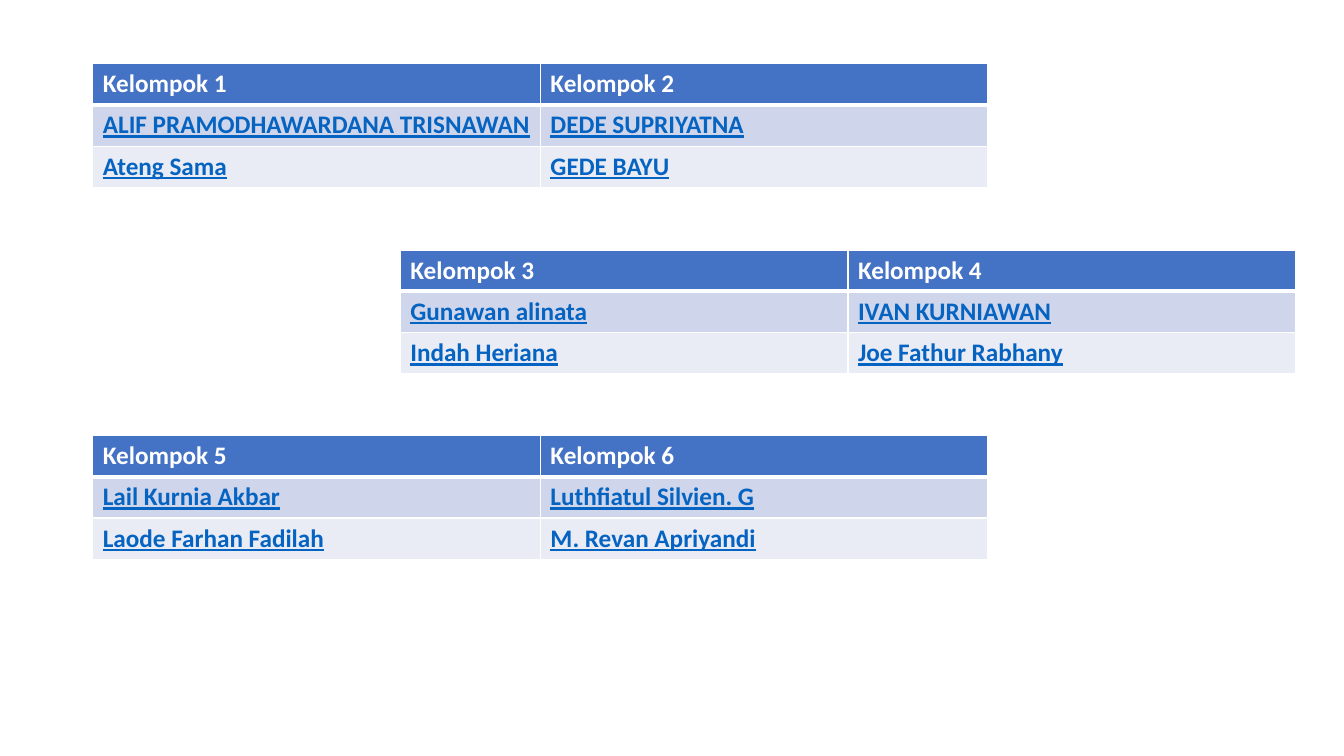
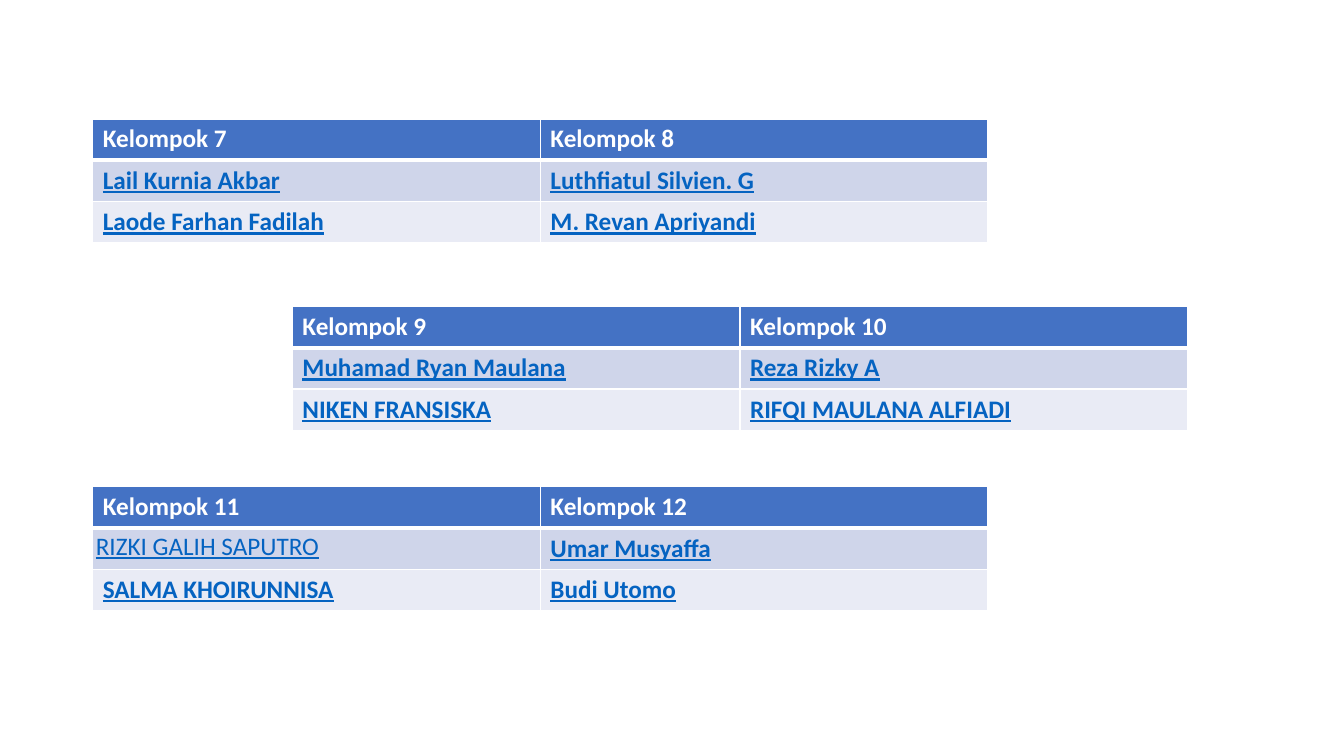
from lxml.etree import SubElement
from pptx import Presentation
from pptx.dml.color import RGBColor
from pptx.oxml.ns import qn
from pptx.util import Inches, Pt

SLIDE_SIZE = (13.33, 7.5)
COLUMN_WIDTH, ROW_HEIGHT = 4.44, 0.41
LEFT = 0.92
WHITE = "FFFFFF"
ROW_FILLS = ["4472C4", "CFD5EA", "E9EBF5"]
THIN, THICK = 1, 3
FONT = {"name": "Calibri", "size": Pt(18), "bold": True}
HEADER = {**FONT, "underline": False}
MEMBER = {**FONT, "underline": True}
LINK_BLUE = "0563C1"
TIGHT_MARGINS = dict.fromkeys(
    ["margin_left", "margin_right", "margin_top", "margin_bottom"], Inches(0.03))
PLAIN_MEMBER = "RIZKI GALIH SAPUTRO"

# Each page lists its tables as (left, top, rows).
PAGES = [
    [
        (LEFT, 0.63, [("Kelompok 1", "Kelompok 2"),
                      ("ALIF PRAMODHAWARDANA TRISNAWAN", "DEDE SUPRIYATNA"),
                      ("Ateng Sama", "GEDE BAYU")]),
        (3.97, 2.48, [("Kelompok 3", "Kelompok 4"),
                      ("Gunawan alinata", "IVAN KURNIAWAN"),
                      ("Indah Heriana", "Joe Fathur Rabhany")]),
        (LEFT, 4.32, [("Kelompok 5", "Kelompok 6"),
                      ("Lail Kurnia Akbar", "Luthfiatul Silvien. G"),
                      ("Laode Farhan Fadilah", "M. Revan Apriyandi")]),
    ],
    [
        (LEFT, 1.18, [("Kelompok 7", "Kelompok 8"),
                      ("Lail Kurnia Akbar", "Luthfiatul Silvien. G"),
                      ("Laode Farhan Fadilah", "M. Revan Apriyandi")]),
        (2.9, 3.04, [("Kelompok 9", "Kelompok 10"),
                     ("Muhamad Ryan Maulana", "Reza Rizky A"),
                     ("NIKEN FRANSISKA", "RIFQI MAULANA ALFIADI")]),
        (LEFT, 4.83, [("Kelompok 11", "Kelompok 12"),
                      (PLAIN_MEMBER, "Umar Musyaffa"),
                      ("SALMA KHOIRUNNISA", "Budi Utomo")]),
    ],
]


def color(hex_code):
    """Turn a hex string into a colour."""
    return RGBColor.from_string(hex_code)


def apply(target, values):
    """Set every attribute named in a dict of format values."""
    for name, value in values.items():
        setattr(target, name, value)


def set_borders(cell, widths):
    """Draw white cell borders, with widths in points by side."""
    properties = cell._tc.get_or_add_tcPr()
    for index, (side, width) in enumerate(widths.items()):
        line = SubElement(properties, qn(f"a:ln{side}"), w=str(Pt(width)))
        fill = SubElement(line, qn("a:solidFill"))
        SubElement(fill, qn("a:srgbClr"), val=WHITE)
        properties.insert(index, line)


def write_cell(cell, text, row):
    """Fill one cell and style it by its row."""
    cell.fill.solid()
    cell.fill.fore_color.rgb = color(ROW_FILLS[row])
    set_borders(cell, {"L": THIN, "R": THIN,
                       "T": THICK if row == 1 else THIN,
                       "B": THICK if row == 0 else THIN})
    span = cell.text_frame.paragraphs[0].add_run()
    span.text = text
    apply(span.font, MEMBER if row else HEADER)
    span.font.color.rgb = color(LINK_BLUE if row else WHITE)
    if text == PLAIN_MEMBER:
        span.font.bold = False
        apply(cell, TIGHT_MARGINS)


def add_group_table(page, left, top, rows):
    """Add a table with one group in each column."""
    columns = len(rows[0])
    table = page.shapes.add_table(
        len(rows), columns, Inches(left), Inches(top),
        Inches(columns * COLUMN_WIDTH), Inches(len(rows) * ROW_HEIGHT)).table
    for column in table.columns:
        column.width = Inches(COLUMN_WIDTH)
    for row, texts in enumerate(rows):
        table.rows[row].height = Inches(ROW_HEIGHT)
        for column, text in enumerate(texts):
            write_cell(table.cell(row, column), text, row)


def main():
    """Build the deck of group lists."""
    deck = Presentation()
    deck.slide_width, deck.slide_height = map(Inches, SLIDE_SIZE)
    for tables in PAGES:
        page = deck.slides.add_slide(deck.slide_layouts[6])
        for left, top, rows in tables:
            add_group_table(page, left, top, rows)
    deck.save("out.pptx")


main()
